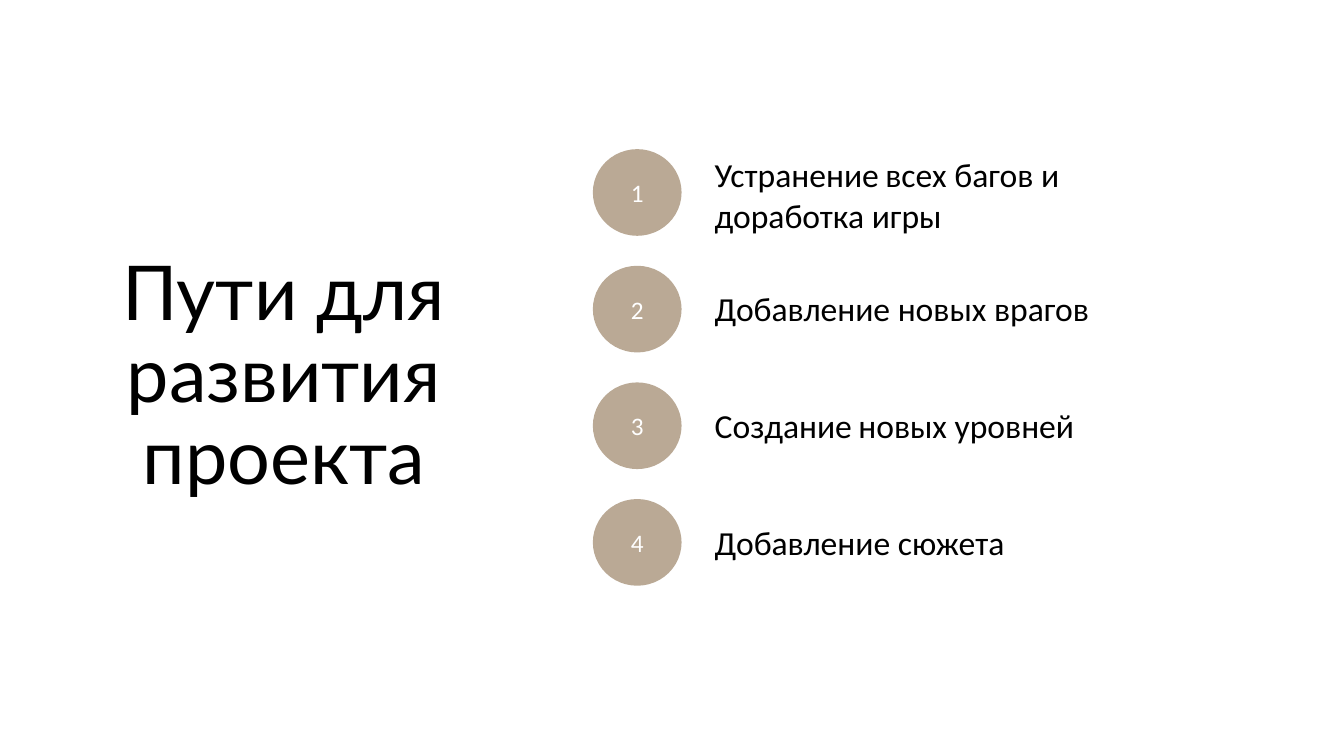
from pptx import Presentation
from pptx.dml.color import RGBColor
from pptx.enum.shapes import MSO_SHAPE
from pptx.enum.text import MSO_ANCHOR, MSO_AUTO_SIZE, PP_ALIGN
from pptx.util import Inches, Pt


def color(value):
    return RGBColor.from_string(value)


def style(paragraph, name, size, value):
    paragraph.font.name = name
    paragraph.font.size = Pt(size)
    paragraph.font.color.rgb = color(value)


presentation = Presentation()
presentation.slide_width = Inches(13.33)
presentation.slide_height = Inches(7.5)
slide = presentation.slides.add_slide(presentation.slide_layouts[5])

title = slide.shapes.title
title.left, title.top = Inches(0.81), Inches(1.01)
title.width, title.height = Inches(4.01), Inches(5.48)
title.text_frame.text = "Пути для развития проекта"
title.text_frame.word_wrap = True
title.text_frame.auto_size = MSO_AUTO_SIZE.NONE
title.text_frame.vertical_anchor = MSO_ANCHOR.MIDDLE
paragraph = title.text_frame.paragraphs[0]
paragraph.alignment = PP_ALIGN.CENTER
paragraph.line_spacing = 0.9
style(paragraph, "Lato", 54, "000000")

steps = [
    (["Устранение", " ", "всех багов и доработка игры"], 1.48, 4.7, 0.91),
    (["Добавление новых врагов"], 2.81, 4.3, 0.5),
    (["Создание", " ", "новых уровней"], 3.97, 3.84, 0.5),
    (["Добавление сюжета"], 5.13, 3.38, 0.5),
]

for index, (parts, top, width, height) in enumerate(steps):
    circle = slide.shapes.add_shape(
        MSO_SHAPE.OVAL, Inches(5.88), Inches(1.48 + index * 1.157), Inches(0.88), Inches(0.86)
    )
    circle.shadow.inherit = False
    circle.fill.solid()
    circle.fill.fore_color.rgb = color("BAA995")
    circle.line.fill.background()
    circle.text_frame.text = str(index + 1)
    circle.text_frame.vertical_anchor = MSO_ANCHOR.MIDDLE
    paragraph = circle.text_frame.paragraphs[0]
    paragraph.alignment = PP_ALIGN.CENTER
    style(paragraph, "Calibri", 18, "FFFFFF")

    label = slide.shapes.add_textbox(Inches(6.99), Inches(top), Inches(width), Inches(height))
    label.text_frame.word_wrap = True
    label.text_frame.auto_size = MSO_AUTO_SIZE.SHAPE_TO_FIT_TEXT
    paragraph = label.text_frame.paragraphs[0]
    style(paragraph, "Calibri", 24, "000000")
    for part in parts:
        run = paragraph.add_run()
        run.text = part
        if part == " ":
            run.font.size = Pt(20)

presentation.save("out.pptx")
